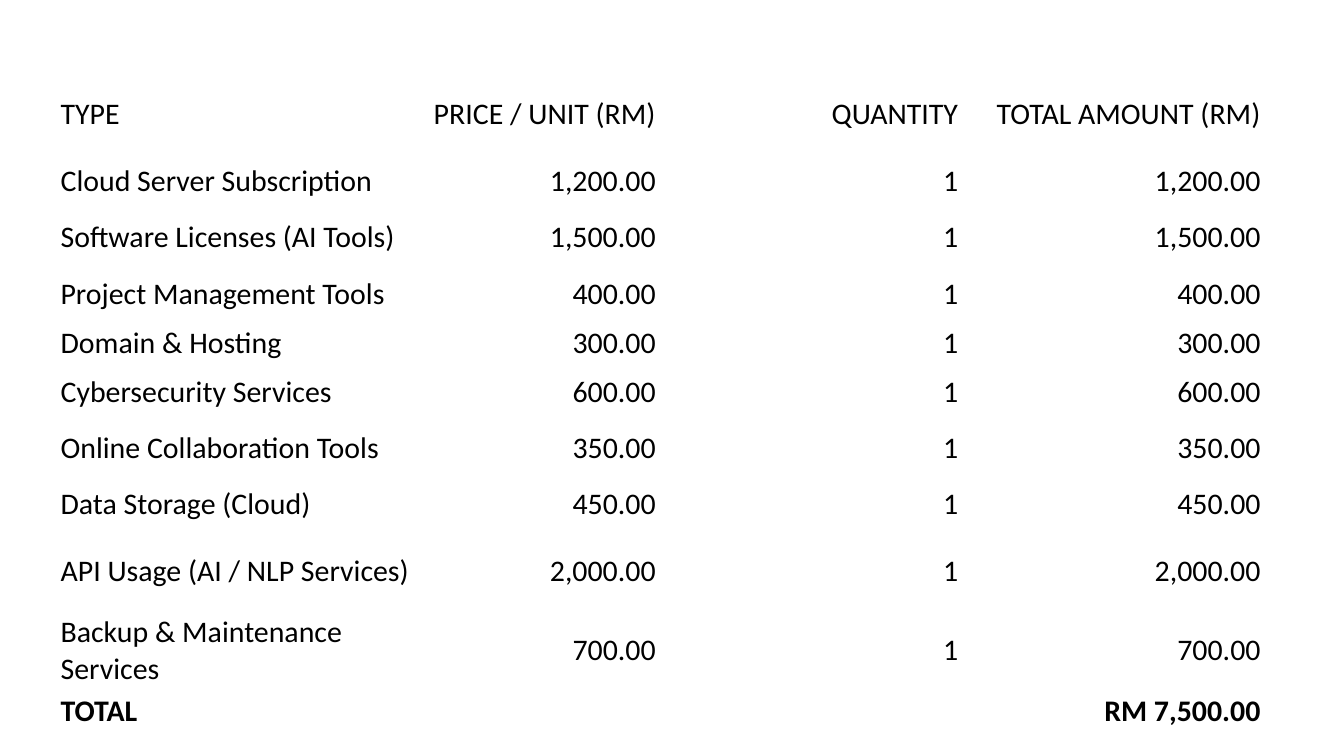
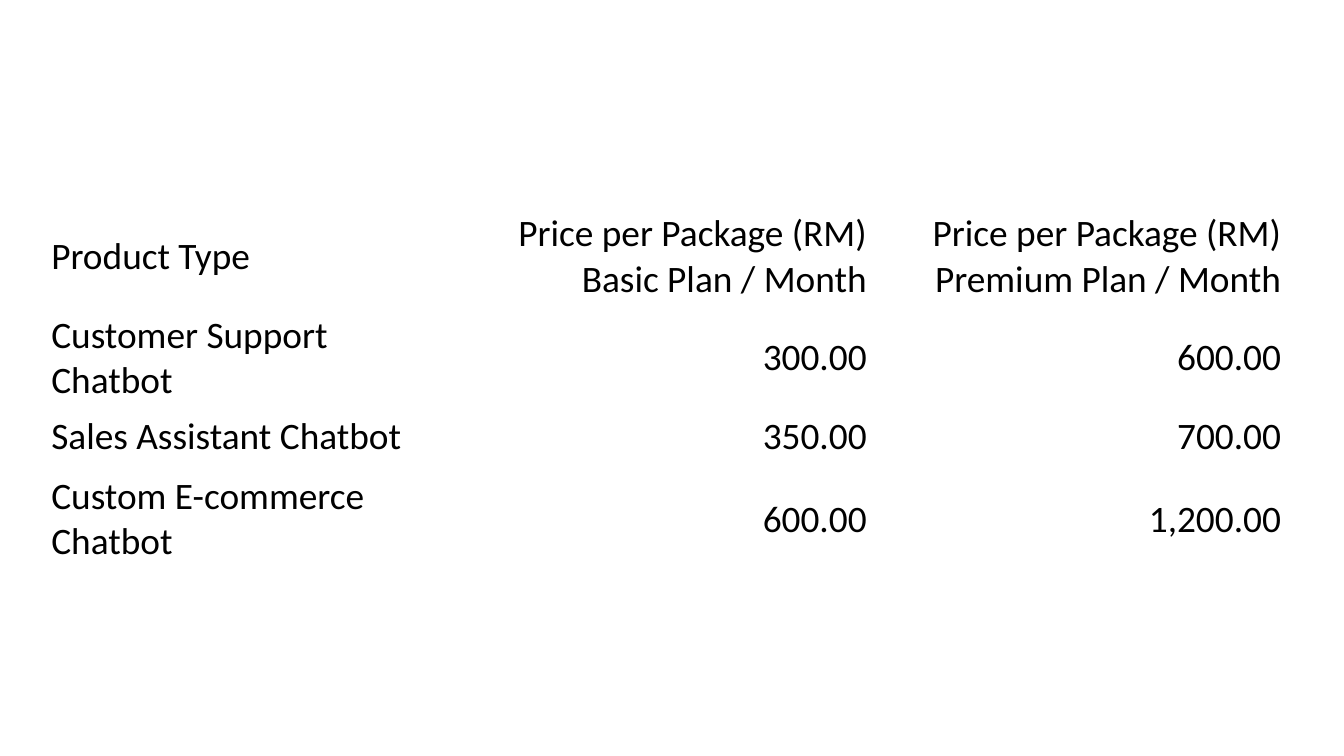
from pptx import Presentation
from pptx.dml.color import RGBColor
from pptx.enum.text import MSO_ANCHOR, PP_ALIGN
from pptx.util import Cm, Pt

COLOURS = {"background": "FFFFFF", "text": "000000"}
FONT = "Calibri"

# Item, unit price in RM, quantity, row height in cm
COSTS = [
    ("Cloud Server Subscription", 1200, 1, 2.12),
    ("Software Licenses (AI Tools)", 1500, 1, 2.12),
    ("Project Management Tools", 400, 1, 2.12),
    ("Domain & Hosting", 300, 1, 1.59),
    ("Cybersecurity Services", 600, 1, 2.12),
    ("Online Collaboration Tools", 350, 1, 2.12),
    ("Data Storage (Cloud)", 450, 1, 2.12),
    ("API Usage (AI / NLP Services)", 2000, 1, 2.97),
    ("Backup & Maintenance Services", 700, 1, 3.02),
]

# Product, basic price, premium price in RM, row height in cm
PLANS = [
    ("Customer Support Chatbot", 300, 600, 3.71),
    ("Sales Assistant Chatbot", 350, 700, 2.26),
    ("Custom E-commerce Chatbot", 600, 1200, 3.96),
]


def money(amount):
    return f"{amount:,.2f}"


def add_page(deck):
    page = deck.slides.add_slide(deck.slide_layouts[6])
    page.background.fill.solid()
    page.background.fill.fore_color.rgb = RGBColor.from_string(COLOURS["background"])
    return page


def format_cell(cell, text, size, align, bold, margins):
    cell.fill.background()
    cell.vertical_anchor = MSO_ANCHOR.MIDDLE
    side, edge = margins
    cell.margin_left = cell.margin_right = Cm(side)
    cell.margin_top = cell.margin_bottom = Cm(edge)
    cell.text_frame.text = text
    paragraph = cell.text_frame.paragraphs[0]
    paragraph.alignment = align
    font = paragraph.font
    font.name, font.size, font.bold = FONT, Pt(size), bold
    font.color.rgb = RGBColor.from_string(COLOURS["text"])
    for span in paragraph.runs:
        span.font.name, span.font.size, span.font.bold = FONT, Pt(size), bold
        span.font.color.rgb = RGBColor.from_string(COLOURS["text"])


def add_price_table(page, left, top, widths, heights, rows, size,
                    margins=(0.25, 0.13), bold_last=False):
    """Add a plain table: first column left-aligned, the others right-aligned."""
    frame = page.shapes.add_table(len(rows), len(widths), Cm(left), Cm(top),
                                  Cm(sum(widths)), Cm(sum(heights)))
    table = frame.table
    table.first_row = table.horz_banding = False
    for column, width in zip(table.columns, widths):
        column.width = Cm(width)
    for row_number, (row, height, texts) in enumerate(zip(table.rows, heights, rows)):
        row.height = Cm(height)
        bold = bold_last and row_number == len(rows) - 1
        for column_number, (cell, text) in enumerate(zip(row.cells, texts)):
            align = PP_ALIGN.RIGHT if column_number else PP_ALIGN.LEFT
            format_cell(cell, text, size, align, bold, margins)


def add_cost_page(deck):
    rows = [("TYPE", "PRICE / UNIT (RM)", "QUANTITY", "TOTAL AMOUNT (RM)")]
    rows += [(item, money(price), str(quantity), money(price * quantity))
             for item, price, quantity, _ in COSTS]
    total = sum(price * quantity for _, price, quantity, _ in COSTS)
    rows.append(("TOTAL", "", "", f"RM {money(total)}"))
    heights = [2.97, *(cost[-1] for cost in COSTS), 1.59]
    add_price_table(add_page(deck), 2.11, 2.84, [14.07, 8.79, 11.43, 11.43],
                    heights, rows, 32, margins=(0.18, 0.08), bold_last=True)


def add_plan_page(deck):
    rows = [("Product Type", "Price per Package (RM) Basic Plan / Month",
             "Price per Package (RM) Premium Plan / Month")]
    rows += [(product, money(basic), money(premium))
             for product, basic, premium, _ in PLANS]
    heights = [3.96, *(plan[-1] for plan in PLANS)]
    add_price_table(add_page(deck), 1.69, 7.72, [15.66] * 3, heights, rows, 40)


def main():
    deck = Presentation()
    deck.slide_width, deck.slide_height = Cm(50.8), Cm(28.58)
    add_cost_page(deck)
    add_plan_page(deck)
    deck.save("out.pptx")


if __name__ == "__main__":
    main()
